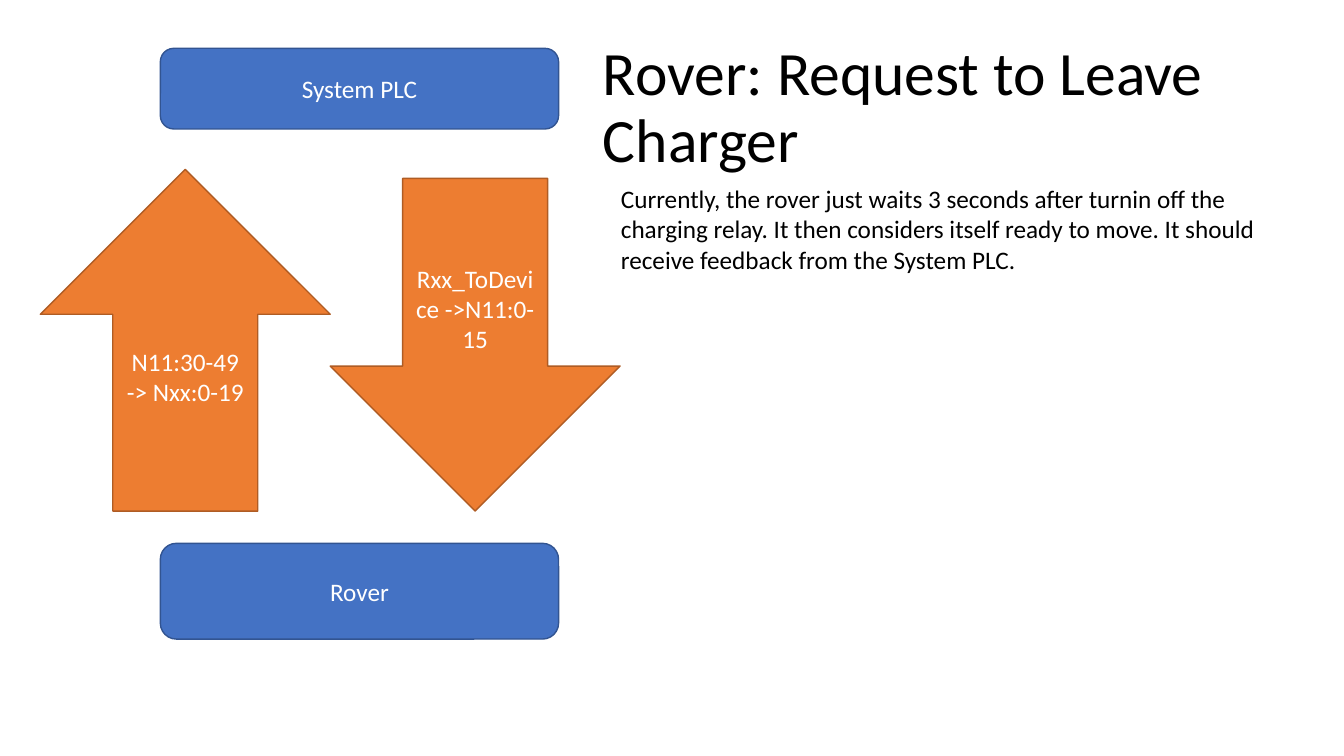
from dataclasses import dataclass

from pptx import Presentation
from pptx.dml.color import RGBColor
from pptx.enum.shapes import MSO_SHAPE
from pptx.enum.text import MSO_ANCHOR, MSO_AUTO_SIZE, PP_ALIGN
from pptx.util import Inches, Pt


@dataclass(frozen=True)
class Theme:
    font: str = "Calibri"
    head: int = 44
    body: int = 18
    ink: str = "000000"
    light: str = "FFFFFF"
    blue: tuple = ("4472C4", "325491")
    orange: tuple = ("ED7D31", "AF5C24")


THEME = Theme()
WIDE, HIGH = 13.33, 7.5

TITLE = "Rover: Request to Leave Charger"
NOTE = ("Currently, the rover just waits 3 seconds after turnin off the charging relay. "
        "It then considers itself ready to move. "
        "It should receive feedback from the System PLC.")

# Devices: label, top, height
DEVICES = [("Rover", 5.39, 0.95), ("System PLC", 0.48, 0.8)]
# Signals: label, shape, top
SIGNALS = [
    ("N11:30-49 -> Nxx:0-19", MSO_SHAPE.UP_ARROW, 1.68),
    ("Rxx_ToDevice ->N11:0-15", MSO_SHAPE.DOWN_ARROW, 1.77),
]
DEVICE_LEFT, DEVICE_WIDE = 1.59, 3.95
SIGNAL_LEFT, SIGNAL_WIDE, SIGNAL_END = 0.4, 2.875, 5.07
TITLE_BOX = (5.88, 0.31, 6.54, 1.54)
NOTE_BOX = (6.06, 1.77, 6.83, 1.01)


def write(frame, text, size, color, align, anchor):
    frame.word_wrap = True
    frame.vertical_anchor = anchor
    para = frame.paragraphs[0]
    para.alignment = align
    run = para.add_run()
    run.text = text
    run.font.name = THEME.font
    run.font.size = Pt(size)
    run.font.color.rgb = RGBColor.from_string(color)
    return para


def draw(slide, kind, box, text, colors):
    shape = slide.shapes.add_shape(kind, *map(Inches, box))
    fill, edge = colors
    shape.shadow.inherit = False
    shape.fill.solid()
    shape.fill.fore_color.rgb = RGBColor.from_string(fill)
    shape.line.color.rgb = RGBColor.from_string(edge)
    shape.line.width = Pt(1)
    write(shape.text_frame, text, THEME.body, THEME.light,
          PP_ALIGN.CENTER, MSO_ANCHOR.MIDDLE)


def main():
    deck = Presentation()
    deck.slide_width, deck.slide_height = Inches(WIDE), Inches(HIGH)
    slide = deck.slides.add_slide(deck.slide_layouts.get_by_name("Title Only"))

    for label, top, high in DEVICES:
        draw(slide, MSO_SHAPE.ROUNDED_RECTANGLE,
             (DEVICE_LEFT, top, DEVICE_WIDE, high), label, THEME.blue)

    for col, (label, kind, top) in enumerate(SIGNALS):
        left = SIGNAL_LEFT + col * SIGNAL_WIDE
        draw(slide, kind, (left, top, SIGNAL_WIDE, SIGNAL_END - top),
             label, THEME.orange)

    note = slide.shapes.add_textbox(*map(Inches, NOTE_BOX)).text_frame
    write(note, NOTE, THEME.body, THEME.ink, PP_ALIGN.LEFT, MSO_ANCHOR.TOP)
    note.auto_size = MSO_AUTO_SIZE.SHAPE_TO_FIT_TEXT

    title = slide.shapes.title
    title.left, title.top, title.width, title.height = map(Inches, TITLE_BOX)
    title.text_frame.auto_size = MSO_AUTO_SIZE.NONE
    para = write(title.text_frame, TITLE, THEME.head, THEME.ink,
                 PP_ALIGN.LEFT, MSO_ANCHOR.MIDDLE)
    para.line_spacing = 0.9

    deck.save("out.pptx")


if __name__ == "__main__":
    main()
